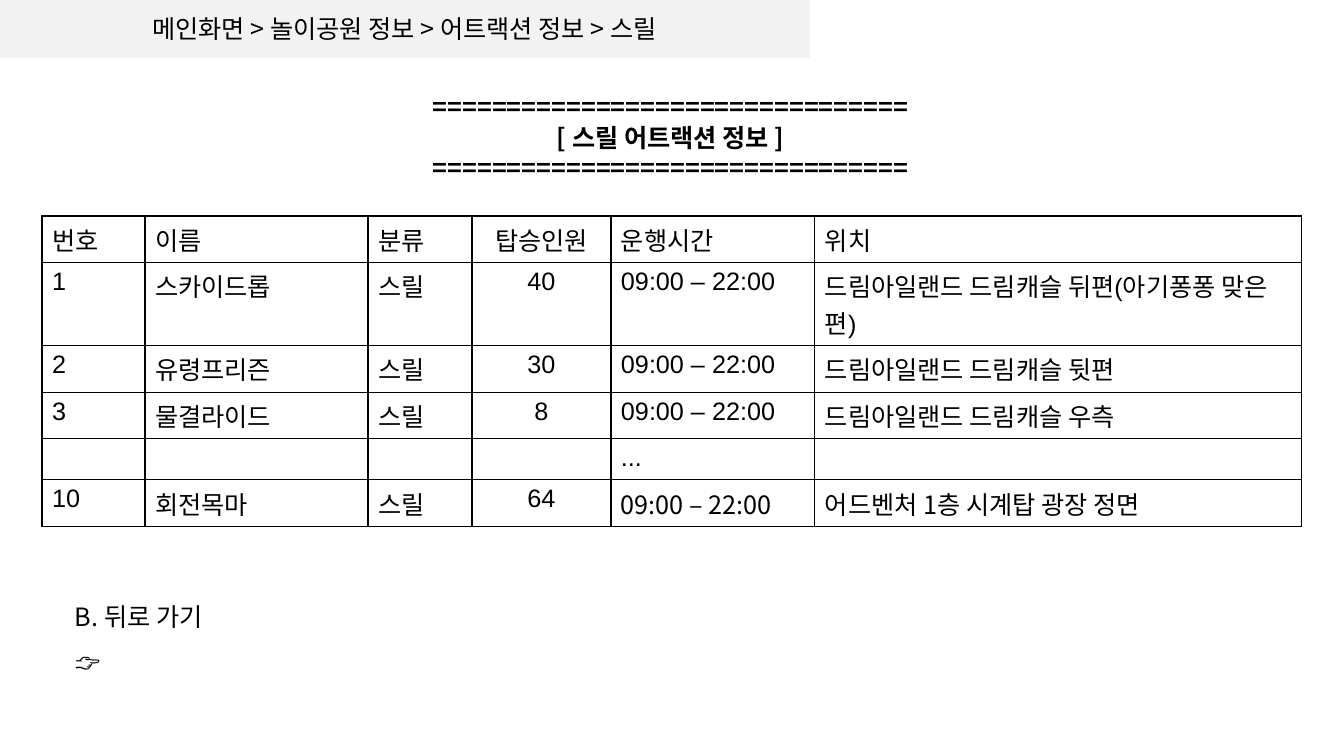
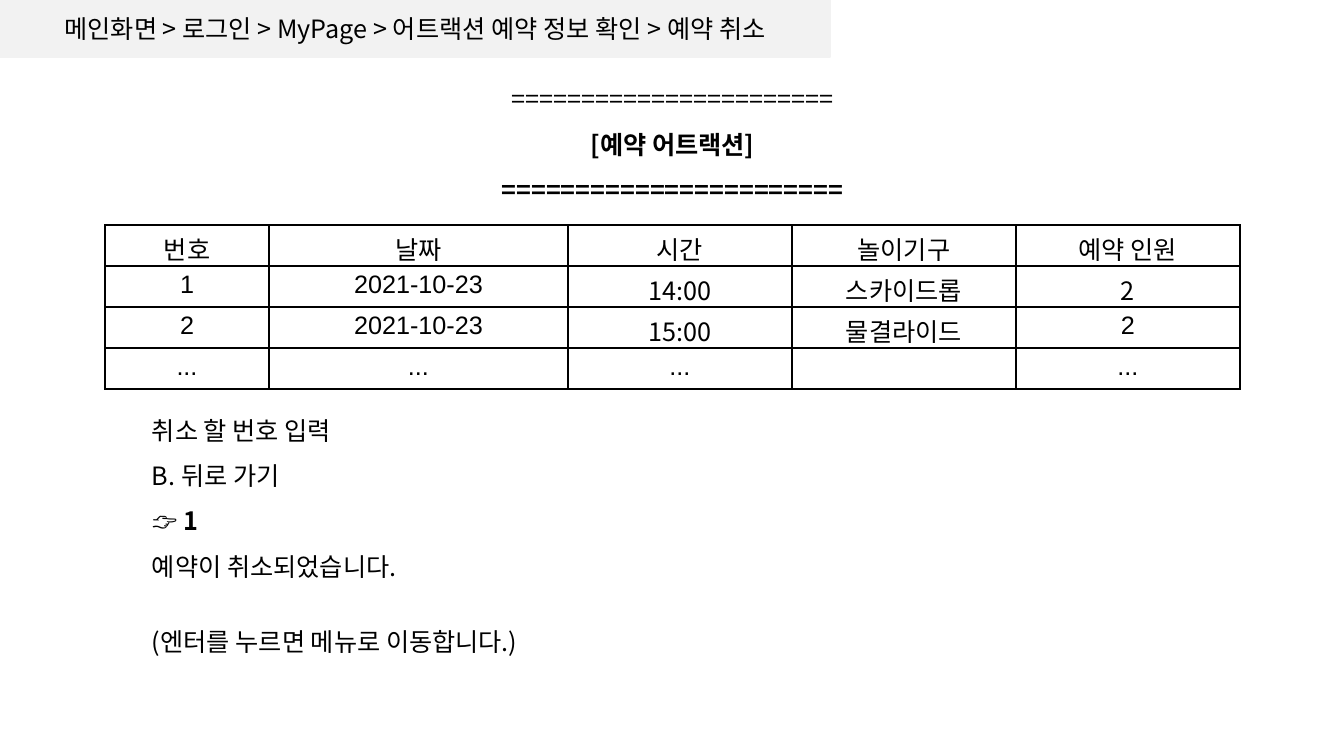
from dataclasses import dataclass

from lxml import etree
from pptx import Presentation, util as u
from pptx.dml.color import RGBColor
from pptx.enum import shapes, text
from pptx.oxml.ns import qn

PX = 914400 / 100.8


@dataclass(frozen=True)
class Theme:
    ink: str = "000000"
    band: str = "F2F2F2"
    face: str = "Noto Sans CJK KR"
    table_face: str = "Arial"
    size: int = 18
    line: float = 21.6
    open_line: float = 32.4


theme = Theme()
LEFT, CENTER = text.PP_ALIGN.LEFT, text.PP_ALIGN.CENTER


def px(*lengths):
    return [u.Emu(round(length * PX)) for length in lengths]


def style(paragraph, align=LEFT, face=theme.face, bold=False, line=None):
    paragraph.alignment = align
    if line:
        paragraph.line_spacing = u.Pt(line)
    font = paragraph.font
    font.size, font.bold, font.name = u.Pt(theme.size), bold, face
    font.color.rgb = RGBColor.from_string(theme.ink)
    defaults = paragraph._p.pPr.find(qn("a:defRPr"))
    etree.SubElement(defaults, qn("a:ea"), typeface=theme.face)


tight, loose = theme.line, theme.open_line
HOURS = "09:00 – 22:00"

# Each text line is (words, bold, line pitch).
screens = [
    dict(
        trail="메인화면 > 놀이공원 정보 > 어트랙션 정보 > 스릴",
        trail_width=809,
        title_at=(0, 86, 1341, 102),
        title=[("=" * 32, True, tight), ("[ 스릴 어트랙션 정보 ]", True, tight),
               ("=" * 32, True, tight)],
        table_at=(42, 216),
        columns=[103, 223, 104, 139, 204, 487],
        centered={3},
        sans_cells={(5, 4), (5, 5)},
        rows=[
            ["번호", "이름", "분류", "탑승인원", "운행시간", "위치"],
            ["1", "스카이드롭", "스릴", "40", HOURS, "드림아일랜드 드림캐슬 뒤편(아기퐁퐁 맞은편)"],
            ["2", "유령프리즌", "스릴", "30", HOURS, "드림아일랜드 드림캐슬 뒷편"],
            ["3", "물결라이드", "스릴", "8", HOURS, "드림아일랜드 드림캐슬 우측"],
            ["", "", "", "", "...", ""],
            ["10", "회전목마", "스릴", "64", HOURS, "어드벤처 1층 시계탑 광장 정면"],
        ],
        prompt_at=(65, 581, 430, 96),
        prompt=[("B. 뒤로 가기", False, loose), ("👉", False, loose)],
    ),
    dict(
        trail="메인화면 > 로그인 > MyPage > 어트랙션 예약 정보 확인 > 예약 취소",
        trail_width=830,
        title_at=(258, 81, 829, 126),
        title=[("=" * 23, False, tight), ("[예약 어트랙션]", True, loose),
               ("=" * 23, True, loose)],
        table_at=(105, 225),
        columns=[164, 299, 224, 224, 224],
        centered=set(range(5)),
        sans_cells={(1, 2), (1, 3), (1, 4), (2, 2), (2, 3)},
        rows=[
            ["번호", "날짜", "시간", "놀이기구", "예약 인원"],
            ["1", "2021-10-23", "14:00", "스카이드롭", "2"],
            ["2", "2021-10-23", "15:00", "물결라이드", "2"],
            ["...", "...", "...", "", "..."],
        ],
        prompt_at=(142, 395, 927, 309),
        prompt=[("취소 할 번호 입력", False, loose), ("B. 뒤로 가기", False, loose),
                ("👉 ", False, loose), ("예약이 취소되었습니다.", False, loose),
                ("(엔터를 누르면 메뉴로 이동합니다.)", False, tight)],
        answer=(2, "1"),
        closing_gap=loose,
    ),
]

deck = Presentation()
deck.slide_width, deck.slide_height = px(1344, 756)

for screen in screens:
    slide = deck.slides.add_slide(deck.slide_layouts[6])

    trail = slide.shapes.add_shape(shapes.MSO_SHAPE.FLOWCHART_PROCESS,
                                   *px(0, 0, screen["trail_width"], 57))
    trail.shadow.inherit = False
    trail.fill.solid()
    trail.fill.fore_color.rgb = RGBColor.from_string(theme.band)
    trail.line.color.rgb = RGBColor.from_string(theme.band)
    trail.line.width = u.Pt(1)
    trail.text_frame.vertical_anchor = text.MSO_ANCHOR.MIDDLE
    trail.text_frame.text = screen["trail"]
    style(trail.text_frame.paragraphs[0], CENTER)

    # Attraction table
    rows, columns = screen["rows"], screen["columns"]
    row_height = 41
    table = slide.shapes.add_table(
        len(rows), len(columns),
        *px(*screen["table_at"], sum(columns), row_height * len(rows))).table
    table.first_row = table.horz_banding = False
    for column, width in zip(table.columns, px(*columns)):
        column.width = width
    for r, row in enumerate(rows):
        table.rows[r].height = px(row_height)[0]
        for c, words in enumerate(row):
            cell = table.cell(r, c)
            cell.text = words
            style(cell.text_frame.paragraphs[0],
                  CENTER if c in screen["centered"] else LEFT,
                  theme.face if (r, c) in screen["sans_cells"] else theme.table_face)
            borders = cell._tc.get_or_add_tcPr()
            for side in ("lnL", "lnR", "lnT", "lnB"):
                edge = etree.SubElement(borders, qn(f"a:{side}"), w=str(u.Pt(1)))
                ink = etree.SubElement(edge, qn("a:solidFill"))
                etree.SubElement(ink, qn("a:srgbClr"), val=theme.ink)
            cell.fill.background()

    # Title and prompt
    for part, align, anchor in (("title", CENTER, text.MSO_ANCHOR.MIDDLE),
                                ("prompt", LEFT, text.MSO_ANCHOR.TOP)):
        frame = slide.shapes.add_textbox(*px(*screen[part + "_at"])).text_frame
        frame.word_wrap = True
        frame.vertical_anchor = anchor
        frame.text = "\n".join(words for words, _, _ in screen[part])
        for paragraph, (_, bold, line) in zip(frame.paragraphs, screen[part]):
            style(paragraph, align, bold=bold, line=line)

    if "answer" in screen:
        position, typed = screen["answer"]
        reply = frame.paragraphs[position].add_run()
        reply.text = typed
        reply.font.bold = True
    if "closing_gap" in screen:
        frame.paragraphs[-1].space_before = u.Pt(screen["closing_gap"])

deck.save("out.pptx")
